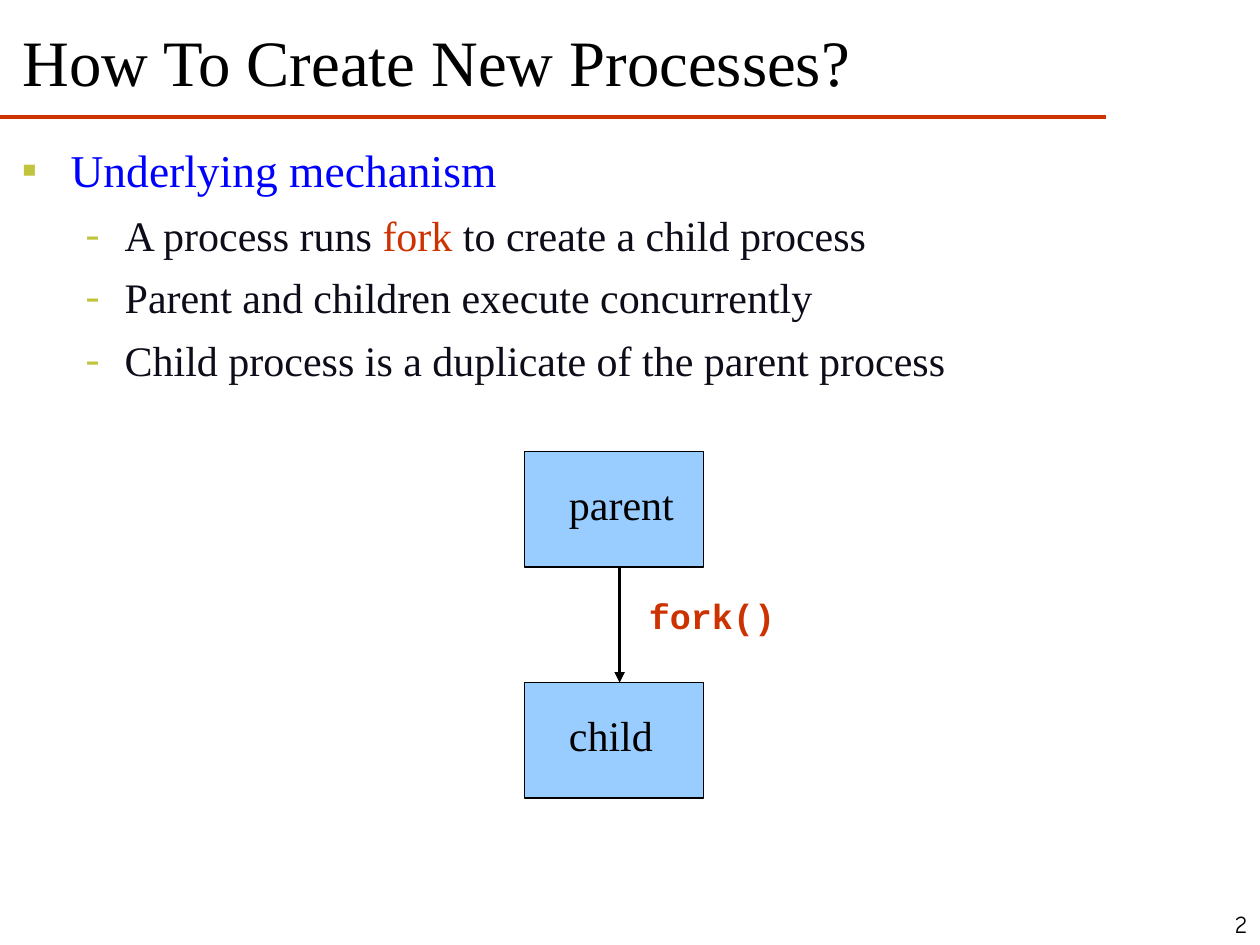
from lxml.etree import SubElement
from pptx import Presentation
from pptx.dml.color import RGBColor
from pptx.enum.shapes import MSO_CONNECTOR, MSO_SHAPE
from pptx.enum.text import MSO_ANCHOR, MSO_AUTO_SIZE, PP_ALIGN
from pptx.oxml.ns import qn
from pptx.util import Cm, Pt

COLORS = {
    "black": "000000",
    "rust": "CC3300",
    "blue": "0000FF",
    "ink": "0F0C19",
    "olive": "C1C43C",
    "sky": "99CCFF",
}
SERIF = "Times New Roman"
BODY_LEVELS = [
    {"indent": (0.97, -0.97), "before": 6.5, "bullet": "■", "bullet_size": 50, "size": 26},
    {"indent": (2.06, -0.79), "before": 7, "bullet": "-", "bullet_size": 100, "size": 24},
]
BODY = [
    (0, [("Underlying mechanism", "blue")]),
    (1, [("A process runs ", "ink"), ("fork", "rust"), (" to create a child process", "ink")]),
    (1, [("Parent and children execute concurrently", "ink")]),
    (1, [("Child process is a duplicate of the parent process", "ink")]),
]
BOX_LEFT, BOX_WIDTH, BOX_HEIGHT = 10.58, 3.6, 2.33
PARENT_TOP, CHILD_TOP = 9.1, 13.76
ARROW_X = 12.49


class SlideBuilder:
    def __init__(self, slide):
        self.slide = slide

    def color(self, name):
        return RGBColor.from_string(COLORS[name])

    def place(self, shape, box):
        for name, value in zip(("left", "top", "width", "height"), box):
            setattr(shape, name, Cm(value))

    def run(self, paragraph, text, size, color="black", font=SERIF, bold=False):
        run = paragraph.add_run()
        run.text = text
        for name, value in {"size": Pt(size), "name": font, "bold": bold}.items():
            setattr(run.font, name, value)
        run.font.color.rgb = self.color(color)

    def frame(self, shape, **settings):
        values = {"word_wrap": True, "auto_size": MSO_AUTO_SIZE.NONE, **settings}
        for name, value in values.items():
            setattr(shape.text_frame, name, value)
        return shape.text_frame

    def title(self, text, box):
        shape = self.slide.shapes.title
        self.place(shape, box)
        frame = self.frame(shape, vertical_anchor=MSO_ANCHOR.BOTTOM)
        paragraph = frame.paragraphs[0]
        paragraph.alignment = PP_ALIGN.LEFT
        self.run(paragraph, text, 37)

    def bullet(self, paragraph, level):
        properties = paragraph._p.get_or_add_pPr()
        for name, value in zip(("marL", "indent"), level["indent"]):
            properties.set(name, str(Cm(value)))
        color = SubElement(properties, qn("a:buClr"))
        SubElement(color, qn("a:srgbClr"), val=COLORS["olive"])
        SubElement(properties, qn("a:buSzPct"), val=str(level["bullet_size"] * 1000))
        SubElement(properties, qn("a:buFont"), typeface=SERIF)
        SubElement(properties, qn("a:buChar"), char=level["bullet"])

    def body(self, items, box):
        shape = self.slide.placeholders[1]
        self.place(shape, box)
        frame = self.frame(shape)
        for index, (depth, runs) in enumerate(items):
            paragraph = frame.add_paragraph() if index else frame.paragraphs[0]
            level = BODY_LEVELS[depth]
            paragraph.level = depth
            paragraph.space_before = Pt(level["before"])
            self.bullet(paragraph, level)
            for text, color in runs:
                self.run(paragraph, text, level["size"], color)

    def text(self, text, box, size, align=PP_ALIGN.LEFT, wrap=True,
             anchor=MSO_ANCHOR.TOP, **font):
        shape = self.slide.shapes.add_textbox(*map(Cm, box))
        frame = self.frame(shape, word_wrap=wrap, vertical_anchor=anchor)
        paragraph = frame.paragraphs[0]
        paragraph.alignment = align
        self.run(paragraph, text, size, **font)

    def process(self, label, top):
        box = (BOX_LEFT, top, BOX_WIDTH, BOX_HEIGHT)
        shape = self.slide.shapes.add_shape(MSO_SHAPE.RECTANGLE, *map(Cm, box))
        shape.shadow.inherit = False
        shape.fill.solid()
        shape.fill.fore_color.rgb = self.color("sky")
        shape.line.color.rgb = self.color("black")
        shape.line.width = Pt(0.75)
        self.text(label, (BOX_LEFT + 0.64, top + 0.42, 2.62, 1.27), 24)

    def line(self, start, end, color, arrow=False):
        connector = self.slide.shapes.add_connector(
            MSO_CONNECTOR.STRAIGHT, *map(Cm, start + end))
        connector.line.color.rgb = self.color(color)
        connector.line.width = Pt(2)
        if arrow:
            SubElement(connector.line._get_or_add_ln(), qn("a:tailEnd"), type="triangle")
        SubElement(connector._element.spPr, qn("a:effectLst"))


def main():
    presentation = Presentation()
    presentation.slide_width, presentation.slide_height = Cm(25.4), Cm(19.05)
    slide = presentation.slides.add_slide(presentation.slide_layouts[1])
    builder = SlideBuilder(slide)
    builder.line((0, 2.36), (22.3, 2.36), "rust")
    builder.text("2", (24.56, 18.21, 0.84, 0.84), 14, PP_ALIGN.RIGHT, wrap=False,
                 anchor=MSO_ANCHOR.MIDDLE, font="Comic Neue")
    builder.title("How To Create New Processes?", (0.2, 0.48, 24.56, 1.65))
    builder.body(BODY, (0.2, 2.74, 24.77, 15.67))
    builder.process("parent", PARENT_TOP)
    builder.process("child", CHILD_TOP)
    builder.line((ARROW_X, PARENT_TOP + BOX_HEIGHT), (ARROW_X, CHILD_TOP), "black", arrow=True)
    builder.text("fork()", (12.83, 11.86, 3.05, 1.12), 20, PP_ALIGN.CENTER, wrap=False,
                 color="rust", font="Courier New", bold=True)
    presentation.save("out.pptx")


if __name__ == "__main__":
    main()
